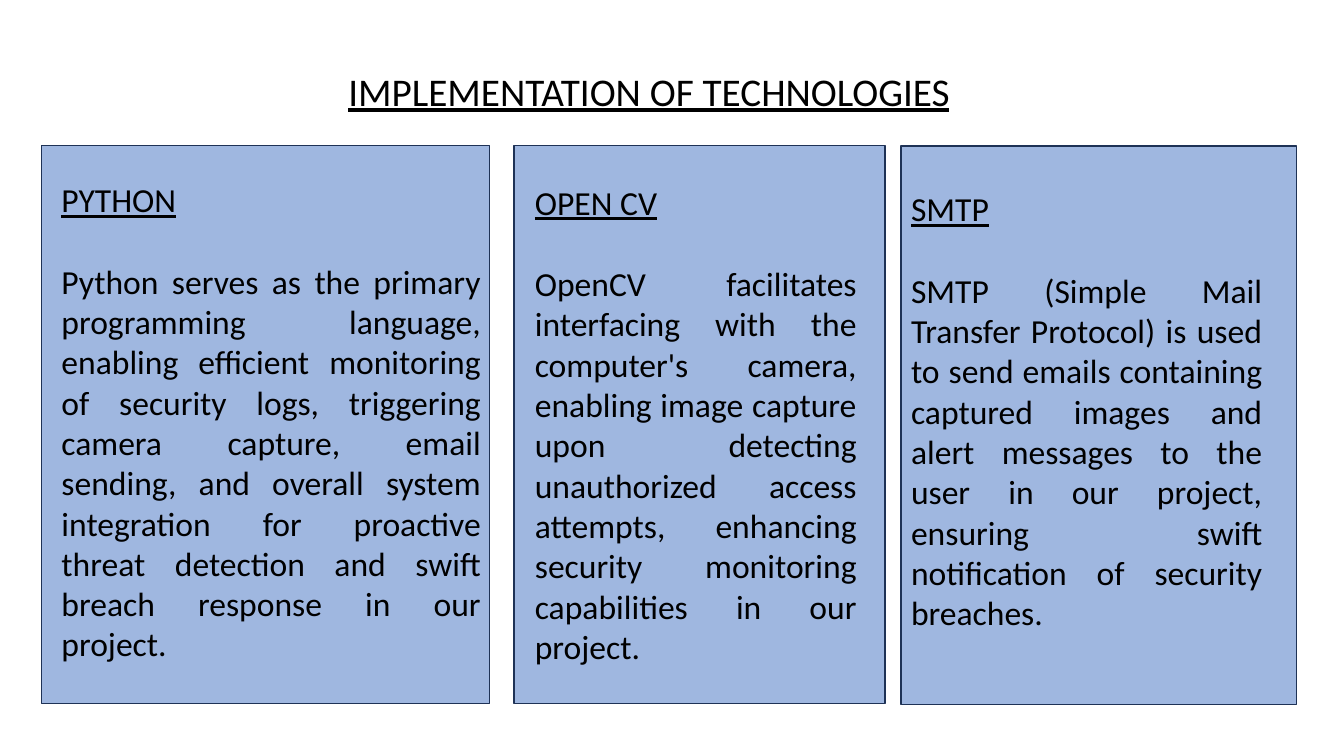
from dataclasses import dataclass

from lxml.etree import SubElement
from pptx import Presentation
from pptx.dml.color import RGBColor as Rgb
from pptx.enum.shapes import MSO_SHAPE as Kind
from pptx.enum.text import MSO_AUTO_SIZE as Fit, PP_ALIGN as Align
from pptx.oxml.ns import qn
from pptx.util import Cm, Pt


@dataclass(frozen=True)
class Theme:
    font: str = "Calibri"
    ink: Rgb = Rgb(0, 0, 0)
    fill: Rgb = Rgb(0x44, 0x72, 0xC4)
    edge: Rgb = Rgb(0x1E, 0x32, 0x56)
    alpha: int = 51
    title: int = 28
    body: int = 24
    gap: float = 29.3


@dataclass(frozen=True)
class Box:
    left: float
    top: float
    width: float
    height: float

    def inner(self, left, top, width, height):
        return Box(self.left + left, self.top + top, width, height)

    def sizes(self):
        return [Cm(n) for n in (self.left, self.top, self.width, self.height)]


THEME = Theme()

CARDS = [
    (
        Box(1.04, 3.66, 11.3, 14.07),
        (0.26, 0.73, 11.07, 12.57),
        "PYTHON",
        "Python serves as the primary programming language, enabling efficient "
        "monitoring of security logs, triggering camera capture, email sending, "
        "and overall system integration for proactive threat detection and "
        "swift breach response in our project.",
    ),
    (
        Box(12.95, 3.66, 9.35, 14.07),
        (0.28, 0.79, 8.61, 12.57),
        "OPEN CV",
        "OpenCV facilitates interfacing with the computer's camera, enabling "
        "image capture upon detecting unauthorized access attempts, enhancing "
        "security monitoring capabilities in our project.",
    ),
    (
        Box(22.71, 3.68, 9.96, 14.07),
        (0, 0.94, 9.35, 11.79),
        "SMTP",
        "SMTP (Simple Mail Transfer Protocol) is used to send emails containing "
        "captured images and alert messages to the user in our project, "
        "ensuring swift notification of security breaches.",
    ),
]


def add_run(para, text, size, under=False):
    run = para.add_run()
    run.text = text
    font = run.font
    font.name = THEME.font
    font.size = Pt(size)
    font.color.rgb = THEME.ink
    font.underline = under


def add_frame(slide, box):
    frame = slide.shapes.add_textbox(*box.sizes()).text_frame
    frame.word_wrap = True
    frame.auto_size = Fit.SHAPE_TO_FIT_TEXT
    return frame


def add_title(slide, box, text):
    frame = add_frame(slide, box)
    add_run(frame.paragraphs[0], text, THEME.title, under=True)


def add_panel(slide, box):
    panel = slide.shapes.add_shape(Kind.RECTANGLE, *box.sizes())
    panel.shadow.inherit = False
    panel.fill.solid()
    panel.fill.fore_color.rgb = THEME.fill
    color = panel.fill._xPr.find(qn("a:solidFill"))[0]
    SubElement(color, qn("a:alpha"), val=str(THEME.alpha * 1000))
    panel.line.color.rgb = THEME.edge
    panel.line.width = Pt(1)


def add_card(slide, box, inset, head, body):
    add_panel(slide, box)
    frame = add_frame(slide, box.inner(*inset))
    first = frame.paragraphs[0]
    first.alignment = Align.JUSTIFY
    add_run(first, head, THEME.body, under=True)
    para = frame.add_paragraph()
    para.alignment = Align.JUSTIFY
    para.space_before = Pt(THEME.gap)
    add_run(para, body, THEME.body)


def main():
    deck = Presentation()
    deck.slide_width, deck.slide_height = Cm(33.87), Cm(19.05)
    slide = deck.slides.add_slide(deck.slide_layouts[6])
    for card in CARDS:
        add_card(slide, *card)
    add_title(slide, Box(8.53, 1.57, 15.93, 1.45), "IMPLEMENTATION OF TECHNOLOGIES")
    deck.save("out.pptx")


if __name__ == "__main__":
    main()
